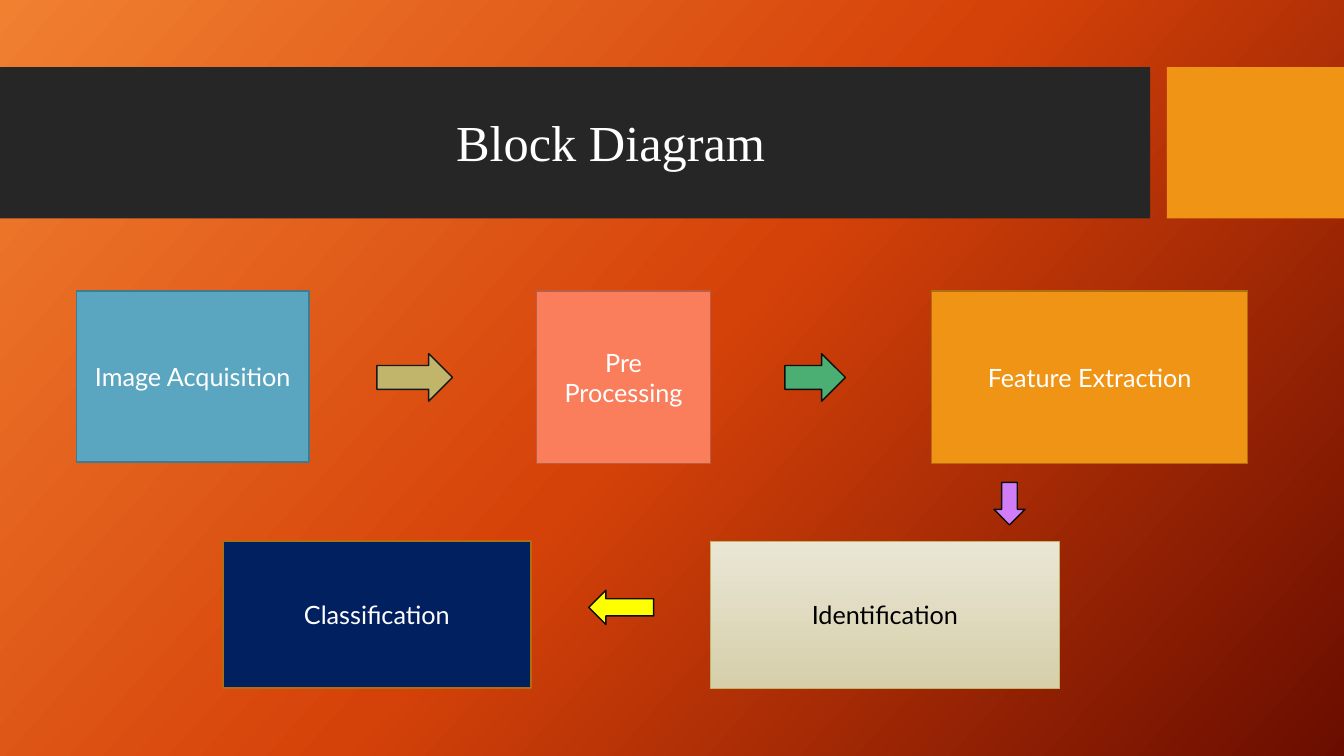
from copy import deepcopy

from pptx import Presentation
from pptx.dml.color import RGBColor
from pptx.enum import shapes, text
from pptx.oxml import ns
from pptx.util import Pt

SHAPE = shapes.MSO_SHAPE
COLORS = {
    "bg_light": "F18031", "bg_mid": "D54209", "bg_dark": "6A0D00",
    "band": "262626", "orange": "F09415", "orange_edge": "B26D10",
    "blue": "5AA6C0", "blue_edge": "437B8E",
    "coral": "FA7E5C", "coral_edge": "B95D44",
    "navy": "002060", "sand": "C1B56B",
    "sand_light": "EAE6D5", "sand_dark": "D6CFAA",
    "green": "4BAF73", "violet": "D17DF9", "yellow": "FFFF00",
    "arrow_edge": "0D0D0D", "sand_arrow_edge": "181717",
    "white": "FFFFFF", "black": "000000",
}


def rgb(name):
    return RGBColor.from_string(COLORS[name])


def set_gradient(fill, element, names, angle):
    """Spread the named colours evenly along a linear gradient."""
    fill.gradient()
    fill.gradient_angle = angle
    stop_list = next(element.iter(ns.qn("a:gsLst")))
    while len(stop_list) < len(names):
        stop_list.append(deepcopy(stop_list[0]))
    for i, (stop, name) in enumerate(zip(fill.gradient_stops, names)):
        stop.color.rgb = rgb(name)
        stop.position = i / (len(names) - 1)


def add_filled(s, kind, box, fill, edge=None, width=1):
    sp = s.shapes.add_shape(kind, *map(Pt, box))
    sp.shadow.inherit = False
    if isinstance(fill, tuple):
        set_gradient(sp.fill, sp._element, fill, 270)
    else:
        sp.fill.solid()
        sp.fill.fore_color.rgb = rgb(fill)
    if edge:
        sp.line.color.rgb = rgb(edge)
        sp.line.width = Pt(width)
    else:
        sp.line.fill.background()
    return sp


def write(sp, words, font, size, color):
    tf = sp.text_frame
    tf.word_wrap = True
    tf.vertical_anchor = text.MSO_ANCHOR.MIDDLE
    p = tf.paragraphs[0]
    p.text = words
    p.alignment = text.PP_ALIGN.CENTER
    p.font.name, p.font.size = font, Pt(size)
    p.font.color.rgb = rgb(color)
    return p


def add_header(s, left, top, width, height):
    # Dark band, orange tab and title
    band, gap = 821.5, 12
    tab = left + band + gap
    add_filled(s, SHAPE.RECTANGLE, (left, top, band, height), "band")
    add_filled(s, SHAPE.RECTANGLE, (tab, top, left + width - tab, height), "orange")
    title = s.shapes.add_textbox(Pt(left + 54.7), Pt(top + 23.3), Pt(763), Pt(65.5))
    write(title, "Block Diagram", "Times New Roman", 36, "white").line_spacing = 0.9


def add_row(s, left, top, blocks, arrows):
    # Blocks and arrows, offset from the row's top left corner
    for words, x, width, height, fill, edge, line, color in blocks:
        sp = add_filled(s, SHAPE.RECTANGLE, (left + x, top, width, height),
                        fill, edge, line)
        write(sp, words, "Lato", 18, color)
    for kind, x, y, width, height, fill, edge in arrows:
        add_filled(s, kind, (left + x, top + y, width, height), fill, edge)


def add_diagram(s, left, top):
    # Upper row, ending in the arrow down to the next row
    add_row(s, left, top, [
        ("Image Acquisition", 0, 166, 122, "blue", "blue_edge", 1, "white"),
        ("Pre Processing", 328.7, 124, 123.3, "coral", "coral_edge", 1, "white"),
        ("Feature Extraction", 610.8, 225.8, 123.3, "orange", "orange_edge", 1, "white"),
    ], [
        (SHAPE.RIGHT_ARROW, 214.5, 44.6, 54, 34, "sand", "sand_arrow_edge"),
        (SHAPE.RIGHT_ARROW, 506, 44.6, 43.2, 34, "green", "arrow_edge"),
        (SHAPE.DOWN_ARROW, 655.2, 136.6, 22.3, 30.4, "violet", "arrow_edge"),
    ])
    # Lower row, read from right to left
    add_row(s, left + 104.5, top + 178.6, [
        ("Identification", 348.2, 249.4, 105, ("sand_light", "sand_dark"),
         "sand", 0.75, "black"),
        ("Classification", 0, 220, 105, "navy", "orange_edge", 1, "white"),
    ], [
        (SHAPE.LEFT_ARROW, 261.3, 35, 46.4, 24.5, "yellow", "arrow_edge"),
    ])


def main():
    prs = Presentation()
    prs.slide_width, prs.slide_height = Pt(960), Pt(540)
    s = prs.slides.add_slide(prs.slide_layouts[6])
    set_gradient(s.background.fill, s._element,
                 ("bg_light", "bg_mid", "bg_dark"), 318)
    add_header(s, 0, 48, 960, 108)
    add_diagram(s, 54.7, 208)
    prs.save("out.pptx")


if __name__ == "__main__":
    main()
